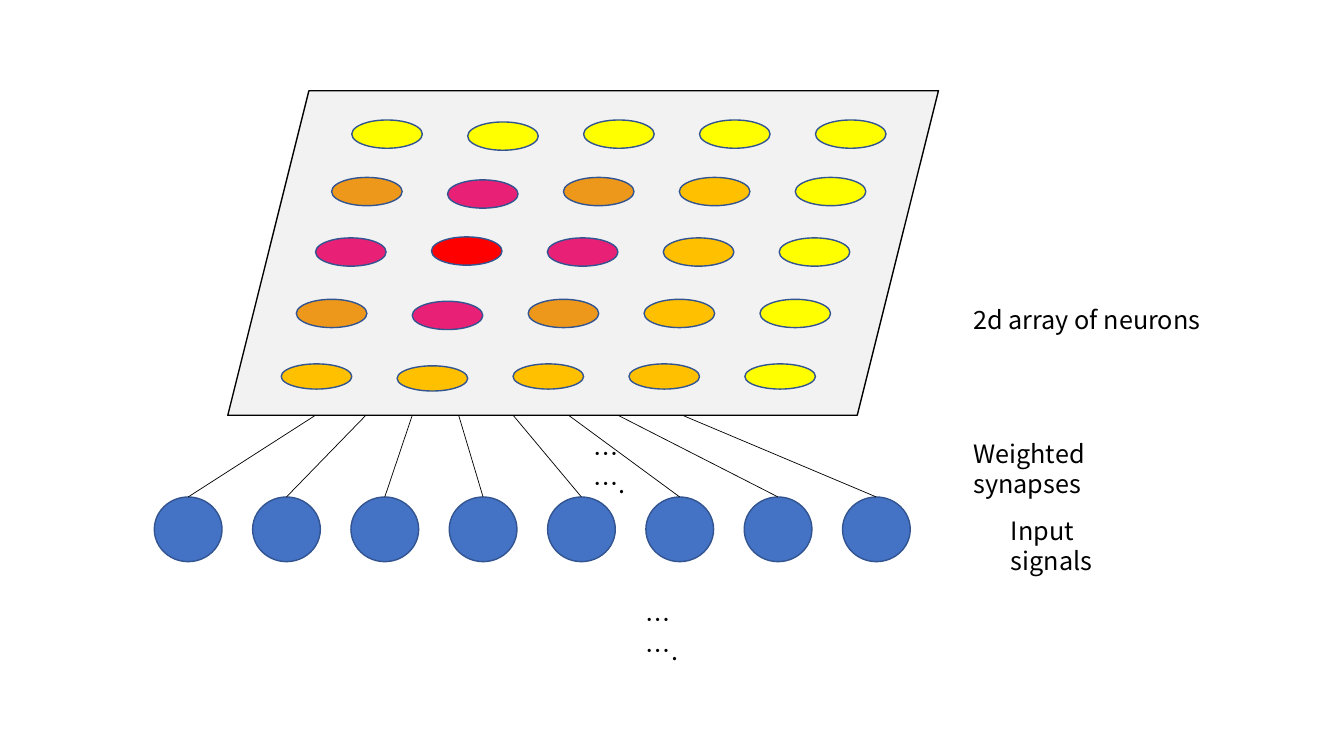
from pptx import Presentation
from pptx.dml.color import RGBColor
from pptx.enum import shapes, text
from pptx.util import Pt
from lxml import etree

FONT = "Noto Sans CJK KR"
COLORS = {
    "black": "000000", "board": "F2F2F2", "edge": "325491", "input": "4472C4",
    "Y": "FFFF00", "A": "FFC000", "O": "ED981B", "P": "E82076", "R": "FF0000",
}
NS = "http://schemas.openxmlformats.org/drawingml/2006/main"
BOARD = (162.7, 64.8, 507.6, 231.8)
ROWS = [
    ("YYYYY", 88.6, 20.9, 20.2, 1.4),
    ("OPOAY", 74.2, 61.9, 20.2, 1.8),
    ("PRPAY", 62.7, 105.1, 20.2, -0.7),
    ("OPOAY", 49, 149, 20.2, 1.4),
    ("AAAAY", 38.2, 195.1, 18, 1.4),
]
ENDS = [225.4, 261.4, 294.5, 327.6, 366.5, 406.1, 441.4, 487.4]
LABELS = [
    ("2d array of neurons", 688.3, 213.8, 177.8),
    ("Weighted synapses", 688.3, 309.6, 173.5),
    ("Input signals", 715, 364.3, 119.5),
    ("…….", 416.9, 309.6, 45.4),
    ("…….", 454.3, 428.4, 45.4),
]


def color(name):
    """Return the named colour."""
    return RGBColor.from_string(COLORS[name])


def shape(slide, kind, box, fill, edge):
    """Draw a filled shape with a thin outline."""
    item = slide.shapes.add_shape(kind, *map(Pt, box))
    item.shadow.inherit = False
    item.fill.solid()
    item.fill.fore_color.rgb = color(fill)
    item.line.color.rgb = color(edge)
    item.line.width = Pt(1)
    return item


def array(slide, box):
    """Draw the slanted board and its grid of neurons."""
    left, top, _, _ = box
    shape(slide, shapes.MSO_SHAPE.PARALLELOGRAM, box, "board", "black")
    for tones, x, y, high, dip in ROWS:
        for col, tone in enumerate(tones):
            drop = dip if col == 1 else 0
            spot = (left + x + col * 82.8, top + y + drop, 50.4, high)
            shape(slide, shapes.MSO_SHAPE.OVAL, spot, tone, "edge")


def inputs(slide, box, base):
    """Draw the input signals and their synapses up to the base line."""
    left, top, width, high = box
    size = 48.4
    step = (width - size) / (len(ENDS) - 1)
    nodes = [
        shape(slide, shapes.MSO_SHAPE.OVAL,
              (left + i * step, top, size, high), "input", "edge")
        for i in range(len(ENDS))
    ]
    for node, end in zip(nodes, ENDS):
        line = slide.shapes.add_connector(
            shapes.MSO_CONNECTOR.STRAIGHT, node.left + node.width // 2,
            node.top, Pt(end), Pt(base))
        line.begin_connect(node, 0)
        line.line.color.rgb = color("black")
        line.line.width = Pt(0.5)
        etree.SubElement(line._element.spPr, f"{{{NS}}}effectLst")


def label(slide, words, box):
    """Write one wrapped label."""
    frame = slide.shapes.add_textbox(*map(Pt, box)).text_frame
    frame.word_wrap = True
    frame.auto_size = text.MSO_AUTO_SIZE.SHAPE_TO_FIT_TEXT
    frame.text = words
    font = frame.paragraphs[0].runs[0].font
    font.name = FONT
    font.size = Pt(18)
    font.color.rgb = color("black")


def main():
    """Build the slide and save it."""
    deck = Presentation()
    deck.slide_width, deck.slide_height = Pt(960), Pt(540)
    slide = deck.slides.add_slide(deck.slide_layouts[6])
    array(slide, BOARD)
    inputs(slide, (110.2, 355, 540, 46.2), BOARD[1] + BOARD[3])
    for words, x, y, width in LABELS:
        label(slide, words, (x, y, width, 28.8))
    deck.save("out.pptx")


if __name__ == "__main__":
    main()
